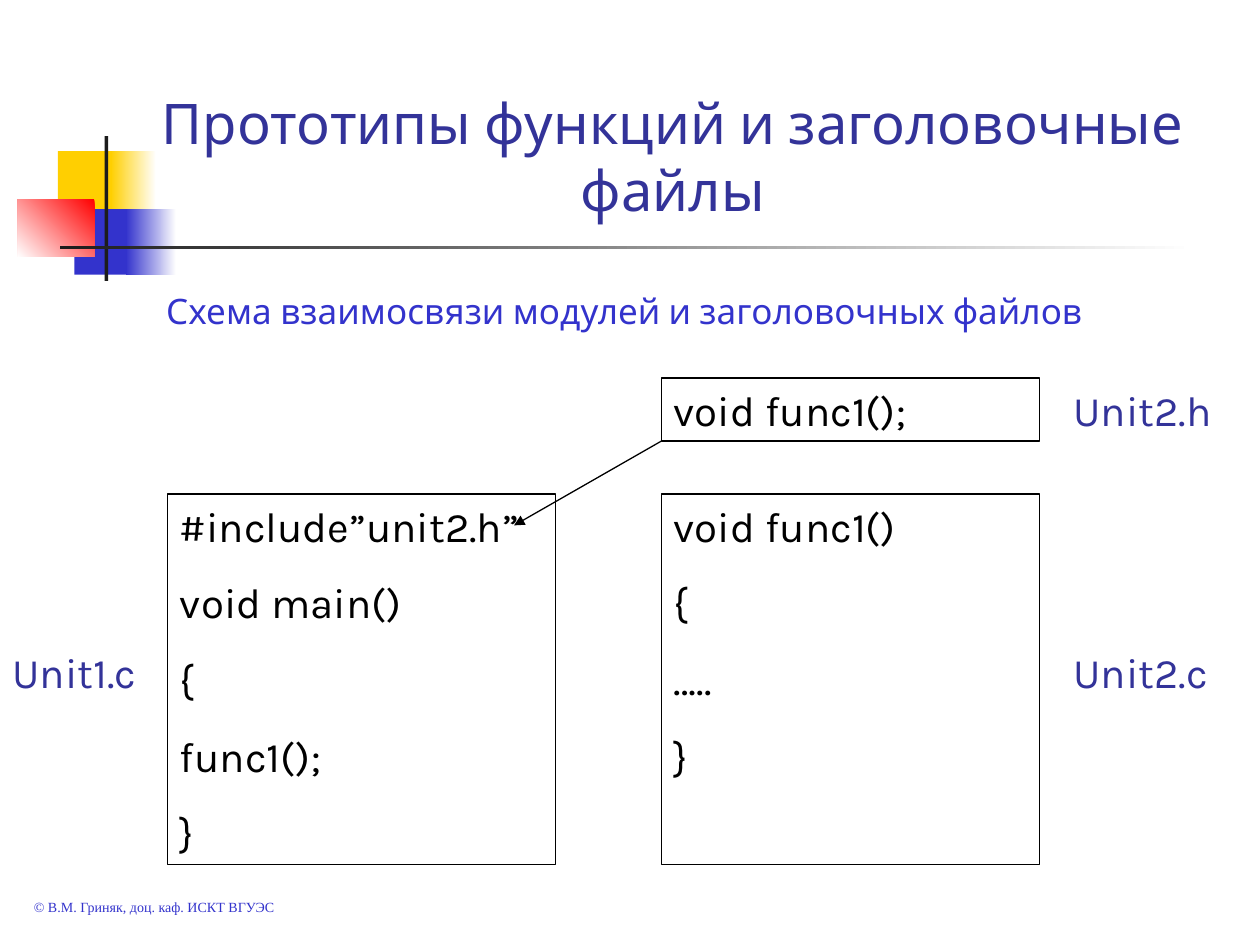
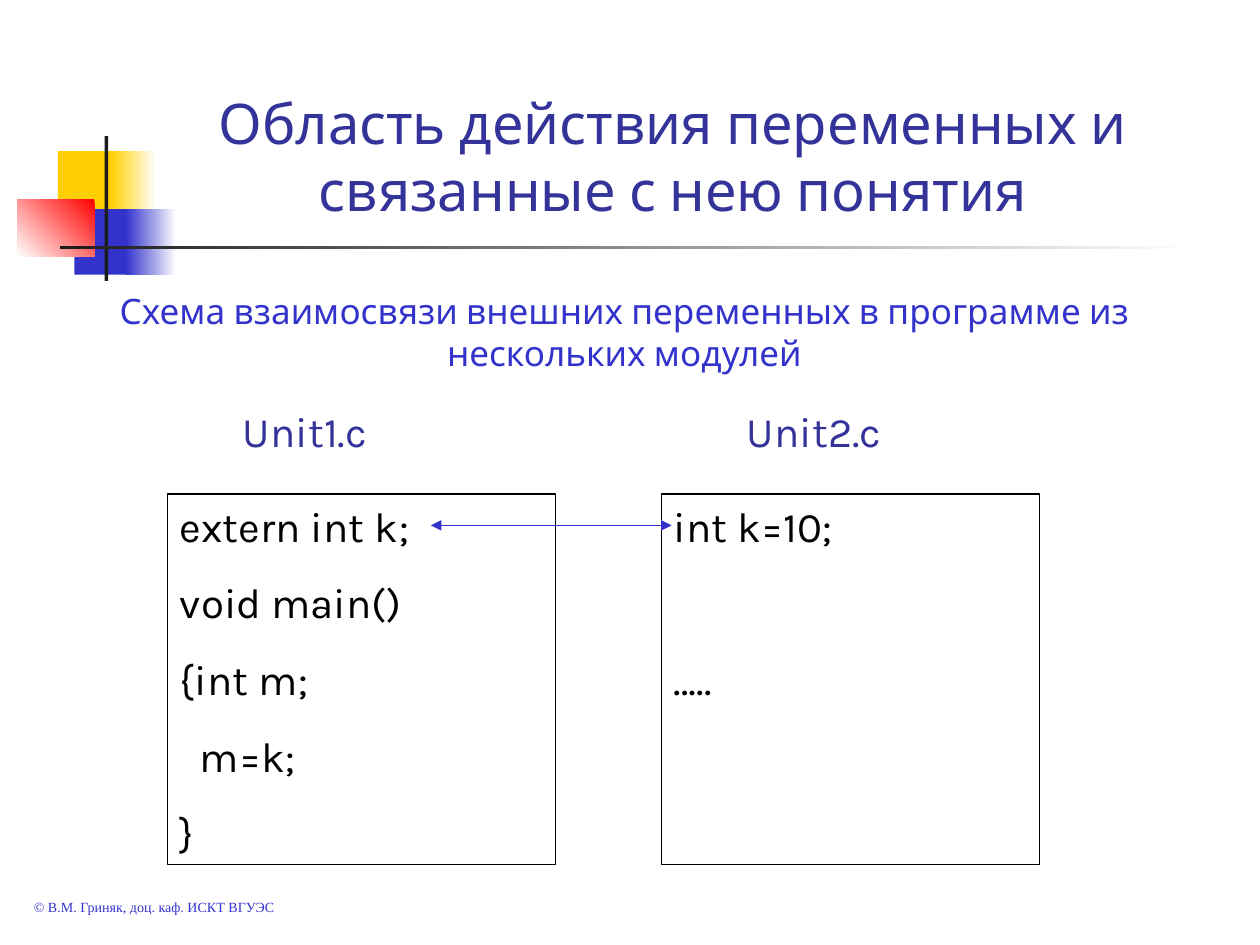
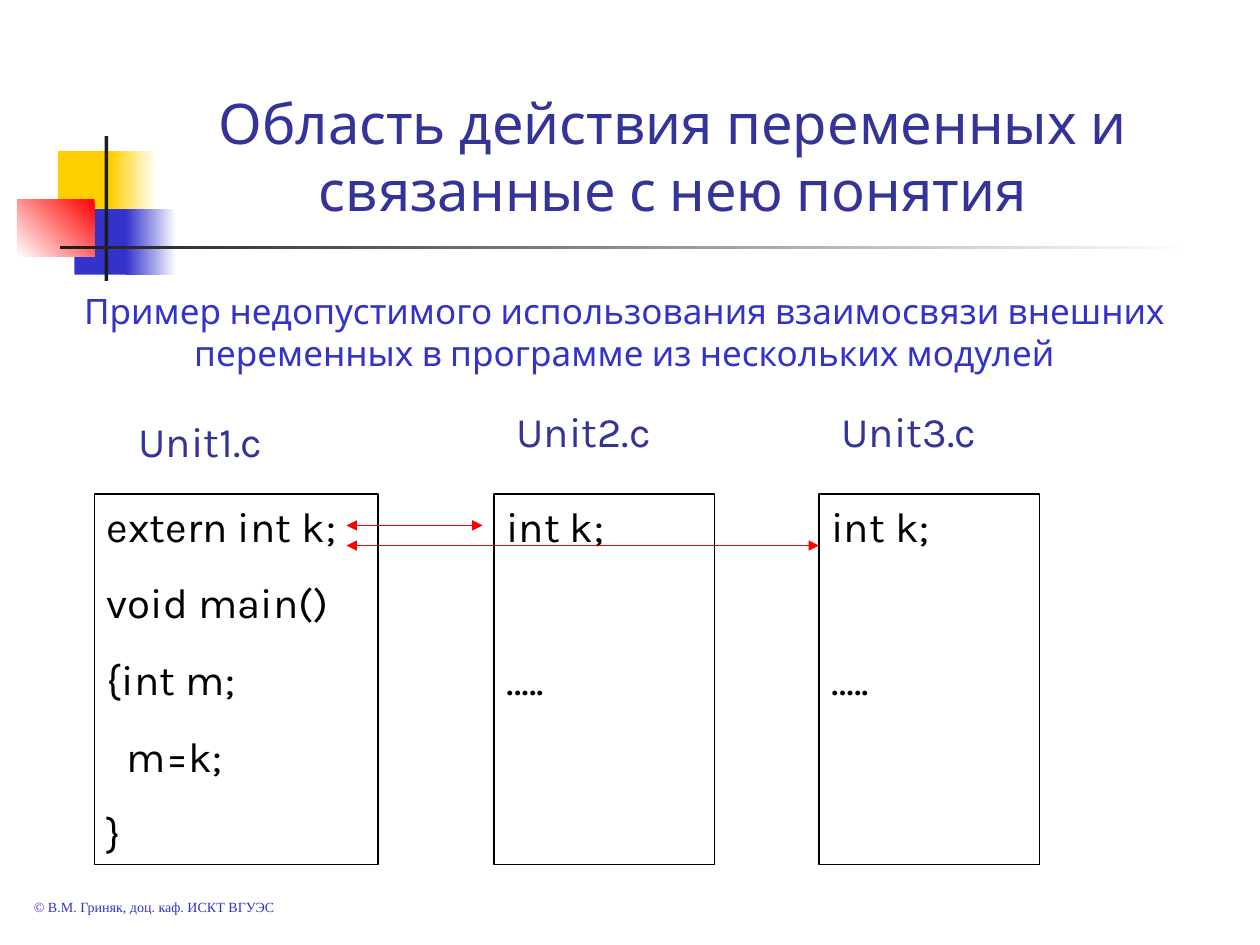
from pptx import Presentation
from pptx.dml.color import RGBColor
from pptx.enum.shapes import MSO_CONNECTOR, MSO_SHAPE
from pptx.enum.text import MSO_ANCHOR, MSO_AUTO_SIZE, PP_ALIGN
from pptx.oxml.ns import qn
from pptx.util import Inches, Pt
from lxml import etree

RECTANGLE = MSO_SHAPE.RECTANGLE
STRAIGHT = MSO_CONNECTOR.STRAIGHT
LEFT, CENTER = PP_ALIGN.LEFT, PP_ALIGN.CENTER

BLUE, NAVY, BLACK, RED = "3333CC", "333399", "000000", "FF0000"
WHITE, YELLOW, CHARCOAL = "FFFFFF", "FFCF01", "1C1C1C"
FONT, FOOTER_FONT = "Karla", "Times New Roman"
FOOTER = "© В.М. Гриняк, доц. каф. ИСКТ ВГУЭС"

# Title decoration: left, top, width, height, gradient colours, angle
DECOR = [
    (0.46, 1.2, 0.48, 0.52, [YELLOW], 0),
    (0.88, 1.2, 0.36, 0.52, [WHITE, YELLOW], 180),
    (0.59, 1.66, 0.46, 0.52, [BLUE], 0),
    (1, 1.66, 0.4, 0.52, [WHITE, BLUE], 180),
    (0.14, 1.58, 0.61, 0.46, [RED, WHITE], 225),
    (0.83, 1.08, 0.03, 1.15, [CHARCOAL], 0),
    (0.48, 1.95, 9, 0.03, [WHITE, CHARCOAL], 180),
]

# Code rows share one pitch; an empty string leaves a row free
CODE_TOP, CODE_HEIGHT, LINE_HEIGHT = 3.92, 2.94, 0.5
ROW_GAP, ROW_PITCH = 15, 43.9
LABEL_WIDTH, LABEL_TOP = 1.58, 3.17

SCOPE_TITLE = "Область действия переменных и связанные с нею понятия"
EXTERN_CODE = ["extern int k;", "void main()", "{int m;", "  m=k;", "}"]
SHARED_CODE = ["int k;", "", "….."]

# code: left, top, width, height, lines; labels: left, top, text
# arrows: start, end, colour, arrowhead ends
SLIDES = [
    {
        "title": "Прототипы функций и заголовочные файлы",
        "subtitle": "Схема взаимосвязи модулей и заголовочных файлов",
        "code": [
            (5.25, CODE_TOP, 3, CODE_HEIGHT, ["void func1()", "{", "…..", "}"]),
            (1.33, CODE_TOP, 3.08, CODE_HEIGHT,
             ["#include”unit2.h”", "void main()", "{", "func1();", "}"]),
            (5.25, 3, 3, LINE_HEIGHT, ["void func1();"]),
        ],
        "labels": [(8.42, 3, "Unit2.h"), (8.42, 5.08, "Unit2.c"), (0, 5.08, "Unit1.c")],
        "arrows": [((5.25, 3.5), (4.08, 4.17), BLACK, ["tailEnd"])],
    },
    {
        "title": SCOPE_TITLE,
        "subtitle": "Схема взаимосвязи внешних переменных в программе из нескольких модулей",
        "code": [
            (5.25, CODE_TOP, 3, CODE_HEIGHT, ["int k=10;", "", "….."]),
            (1.33, CODE_TOP, 3.08, CODE_HEIGHT, EXTERN_CODE),
        ],
        "labels": [(5.83, LABEL_TOP, "Unit2.c"), (1.83, LABEL_TOP, "Unit1.c")],
        "arrows": [((5.33, 4.17), (3.42, 4.17), BLUE, ["headEnd", "tailEnd"])],
    },
    {
        "title": SCOPE_TITLE,
        "subtitle": "Пример недопустимого использования взаимосвязи внешних "
                    "переменных в программе из нескольких модулей",
        "code": [
            (6.5, CODE_TOP, 1.75, CODE_HEIGHT, SHARED_CODE),
            (0.75, CODE_TOP, 2.25, CODE_HEIGHT, EXTERN_CODE),
            (3.92, CODE_TOP, 1.75, CODE_HEIGHT, SHARED_CODE),
        ],
        "labels": [(6.58, LABEL_TOP, "Unit3.c"), (1, 3.25, "Unit1.c"),
                   (4, LABEL_TOP, "Unit2.c")],
        "arrows": [((3.83, 4.17), (2.75, 4.17), RED, ["headEnd", "tailEnd"]),
                   ((6.5, 4.33), (2.75, 4.33), RED, ["headEnd", "tailEnd"])],
    },
]


def color(value):
    return RGBColor.from_string(value)


def inches(*lengths):
    return [Inches(length) for length in lengths]


def write(box, lines, size, ink, align=LEFT, font=FONT, anchor=MSO_ANCHOR.TOP):
    frame = box.text_frame
    frame.word_wrap = True
    frame.auto_size = MSO_AUTO_SIZE.NONE
    frame.vertical_anchor = anchor
    para, skipped = None, 0
    for line in lines:
        if not line:
            skipped += 1
            continue
        if para is None:
            para = frame.paragraphs[0]
            para.space_before = Pt(0)
        else:
            para = frame.add_paragraph()
            para.space_before = Pt(ROW_GAP + skipped * ROW_PITCH)
        skipped = 0
        para.text = line
        para.alignment = align
        para.font.name = font
        para.font.size = Pt(size)
        para.font.color.rgb = color(ink)


def add_text(page, place, text, size, ink, **style):
    write(page.shapes.add_textbox(*inches(*place)), [text], size, ink, **style)


def add_rectangle(page, place):
    box = page.shapes.add_shape(RECTANGLE, *inches(*place))
    box.shadow.inherit = False
    return box


def add_decor(page):
    for *place, colors, angle in DECOR:
        box = add_rectangle(page, place)
        box.line.fill.background()
        if len(colors) == 1:
            box.fill.solid()
            box.fill.fore_color.rgb = color(colors[0])
        else:
            box.fill.gradient()
            box.fill.gradient_angle = angle
            for stop, value in zip(box.fill.gradient_stops, colors):
                stop.color.rgb = color(value)


def add_code(page, place, lines):
    box = add_rectangle(page, place)
    box.fill.background()
    box.line.color.rgb = color(BLACK)
    box.line.width = Pt(0.75)
    write(box, lines, 24, BLACK)


def add_arrow(page, start, end, ink, heads):
    arrow = page.shapes.add_connector(STRAIGHT, *inches(*start, *end))
    arrow.line.color.rgb = color(ink)
    arrow.line.width = Pt(0.75)
    outline = arrow.line._get_or_add_ln()
    for head in heads:
        etree.SubElement(outline, qn("a:" + head), type="triangle")
    etree.SubElement(arrow._element.spPr, qn("a:effectLst"))


def add_page(deck, content):
    page = deck.slides.add_slide(deck.slide_layouts[5])
    add_decor(page)

    # Title, subtitle and footer
    title = page.shapes.title
    title.left, title.top, title.width, title.height = inches(1.08, 0.58, 8.52, 1.24)
    write(title, [content["title"]], 32, NAVY, CENTER, anchor=MSO_ANCHOR.BOTTOM)
    add_text(page, (0.33, 2.25, 9.25, 0.77), content["subtitle"], 20, BLUE, align=CENTER)
    add_text(page, (0.17, 7.08, 2.67, 0.24), FOOTER, 8, BLUE, font=FOOTER_FONT)

    # Modules, their names and links
    for *place, lines in content["code"]:
        add_code(page, place, lines)
    for left, top, name in content["labels"]:
        add_text(page, (left, top, LABEL_WIDTH, LINE_HEIGHT), name, 24, NAVY)
    for arrow in content["arrows"]:
        add_arrow(page, *arrow)


def main():
    deck = Presentation()
    deck.slide_width, deck.slide_height = inches(10, 7.5)
    for content in SLIDES:
        add_page(deck, content)
    deck.save("out.pptx")


if __name__ == "__main__":
    main()
